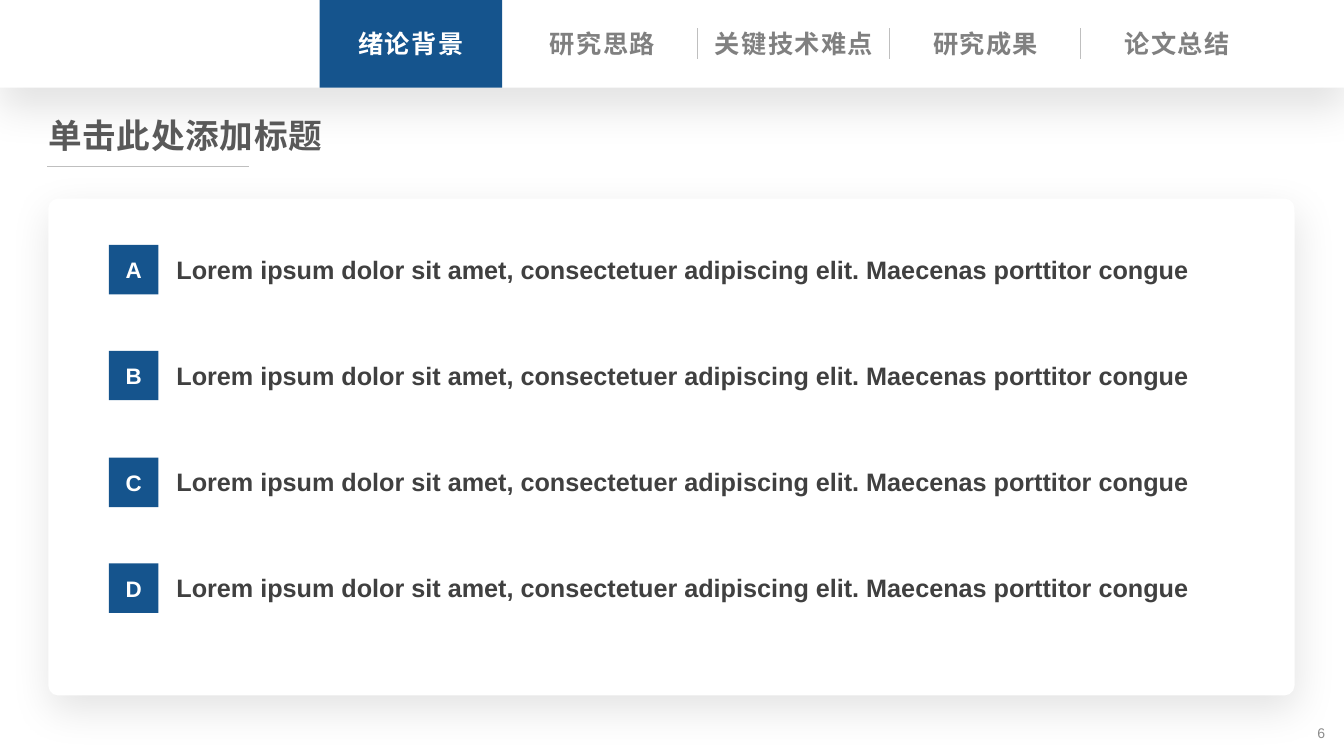
from dataclasses import dataclass
from lxml.etree import SubElement
from pptx import Presentation
from pptx.dml.color import RGBColor
from pptx.enum.shapes import MSO_CONNECTOR, MSO_SHAPE
from pptx.enum.text import MSO_ANCHOR, PP_ALIGN
from pptx.oxml.ns import qn
from pptx.util import Pt

SCALE = 9144
TABS = ["绪论背景", "研究思路", "关键技术难点", "研究成果", "论文总结"]
ITEM = "Lorem ipsum dolor sit amet, consectetuer adipiscing elit. Maecenas porttitor congue"


@dataclass(frozen=True)
class Theme:
    """Colours, fonts and type sizes of the slide."""
    blue: str = "15548D"
    white: str = "FFFFFF"
    gray: str = "808080"
    pale: str = "8C8C8C"
    rule: str = "BFBFBF"
    title: str = "595959"
    body: str = "404040"
    shade: str = "000000"
    latin: str = "Arial"
    han: str = "Noto Sans CJK SC"
    head: int = 24
    text: int = 18
    mark: int = 16
    page: int = 10


THEME = Theme()


def px(*nums):
    """Turn px lengths into EMU."""
    return [n * SCALE for n in nums]


def write(frame, text, size, color, align=PP_ALIGN.LEFT, bold=True, face=THEME.latin, gap=0):
    """Put one styled paragraph into a text frame."""
    para = frame.paragraphs[0]
    para.text = text
    para.alignment = align
    font = para.font
    font.size, font.bold, font.name = Pt(size), bold, face
    font.color.rgb = RGBColor.from_string(color)
    SubElement(font._element, qn("a:ea"), typeface=THEME.han)
    if gap:
        font._element.set("spc", str(gap))
    return para


def add_text(slide, box, text, size, color, wrap=False, inset=True, anchor=MSO_ANCHOR.TOP, **style):
    """Add a text box."""
    frame = slide.shapes.add_textbox(*px(*box)).text_frame
    frame.word_wrap = wrap
    frame.vertical_anchor = anchor
    if not inset:
        frame.margin_left = frame.margin_right = 0
        frame.margin_top = frame.margin_bottom = 0
    return write(frame, text, size, color, **style)


def add_block(slide, box, color, kind=MSO_SHAPE.RECTANGLE):
    """Add a filled shape without an outline."""
    shape = slide.shapes.add_shape(kind, *px(*box))
    shape.shadow.inherit = False
    shape.fill.solid()
    shape.fill.fore_color.rgb = RGBColor.from_string(color)
    shape.line.fill.background()
    return shape


def add_shade(shape, blur, dist, angle):
    """Give a shape a soft outer shadow."""
    effect = shape._element.spPr.find(qn("a:effectLst"))
    outer = SubElement(effect, qn("a:outerShdw"), blurRad=str(Pt(blur)), dist=str(Pt(dist)),
                       dir=str(angle * 60000), algn="t", rotWithShape="0")
    tint = SubElement(outer, qn("a:srgbClr"), val=THEME.shade)
    SubElement(tint, qn("a:alpha"), val="11000")


def add_rule(slide, *ends):
    """Add a thin gray line."""
    line = slide.shapes.add_connector(MSO_CONNECTOR.STRAIGHT, *px(*ends))
    line.line.color.rgb = RGBColor.from_string(THEME.rule)
    line.line.width = Pt(0.5)
    SubElement(line._element.spPr, qn("a:effectLst"))


def add_tabs(slide):
    """Add the chapter tabs and their dividers."""
    first, pitch, width = 317, 190, 181
    add_block(slide, (first, 0, width, 87), THEME.blue)
    for i in range(3):
        x = 692 + i * pitch
        add_rule(slide, x, 28, x, 59)
    for i, name in enumerate(TABS):
        color = THEME.gray if i else THEME.white
        add_text(slide, (first + i * pitch, 23, width, 40), name, THEME.text, color,
                 align=PP_ALIGN.CENTER, gap=100)


def add_item(slide, top, mark):
    """Add a lettered square with its sentence."""
    frame = add_block(slide, (108, top, 49, 49), THEME.blue).text_frame
    frame.vertical_anchor = MSO_ANCHOR.MIDDLE
    write(frame, mark, THEME.mark, THEME.white, align=PP_ALIGN.CENTER)
    add_text(slide, (175, top + 9, 1063, 30), ITEM, THEME.text, THEME.body,
             wrap=True, inset=False, align=PP_ALIGN.JUSTIFY)


def main():
    """Build and save the slide."""
    deck = Presentation()
    deck.slide_width, deck.slide_height = px(1333, 750)
    slide = deck.slides.add_slide(deck.slide_layouts[6])
    add_shade(add_block(slide, (0, 0, 1333, 87), THEME.white), 28, 15, 90)
    add_text(slide, (1024, 707, 300, 40), "6", THEME.page, THEME.pale, wrap=True,
             anchor=MSO_ANCHOR.MIDDLE, align=PP_ALIGN.RIGHT, bold=False)
    title = add_text(slide, (38, 114, 295, 46), "单击此处添加标题", THEME.head, THEME.title,
                     anchor=MSO_ANCHOR.MIDDLE, face=THEME.han, gap=50)
    title.line_spacing = 0.9
    add_rule(slide, 47, 165, 247, 165)
    card = add_block(slide, (48, 197, 1236, 493), THEME.white, MSO_SHAPE.ROUNDED_RECTANGLE)
    card.adjustments[0] = 0.02
    add_shade(card, 30, 10, 80)
    add_tabs(slide)
    for i, mark in enumerate("ABCD"):
        add_item(slide, 243 + round(i * 316 / 3), mark)
    deck.save("out.pptx")


if __name__ == "__main__":
    main()
